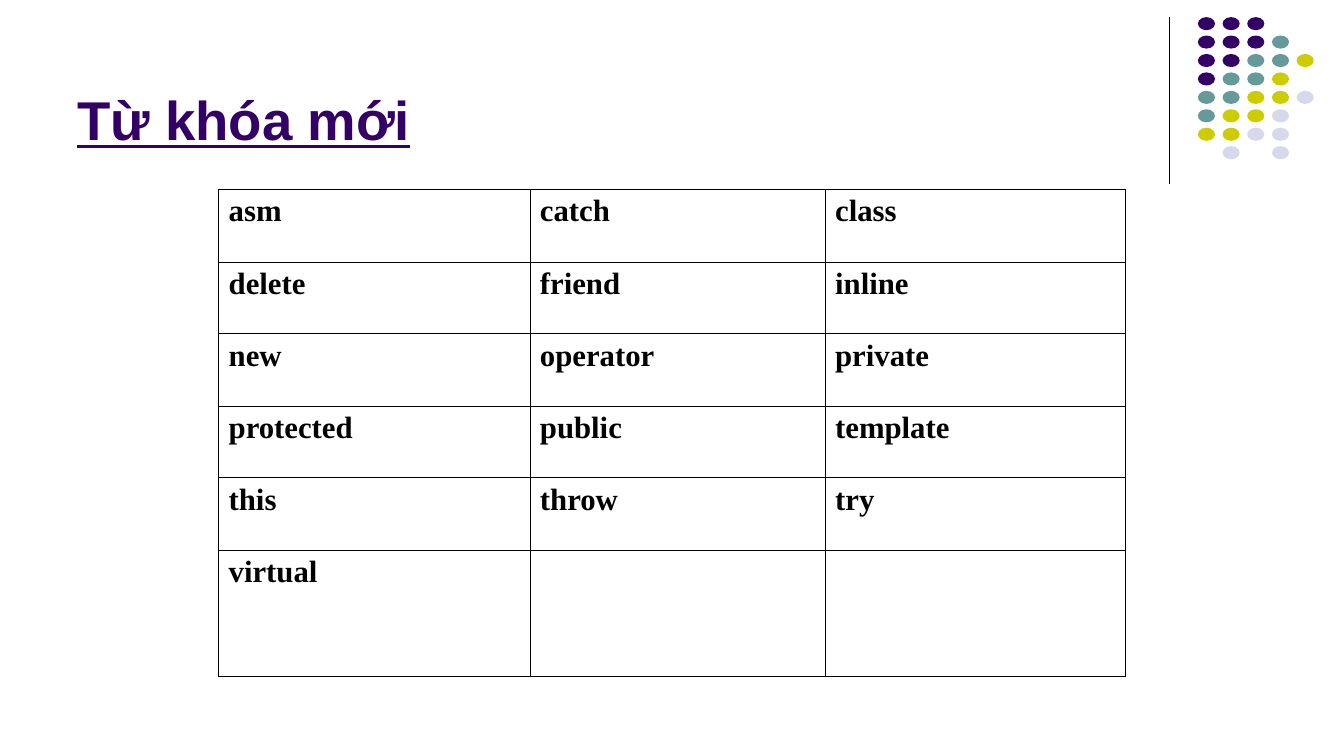
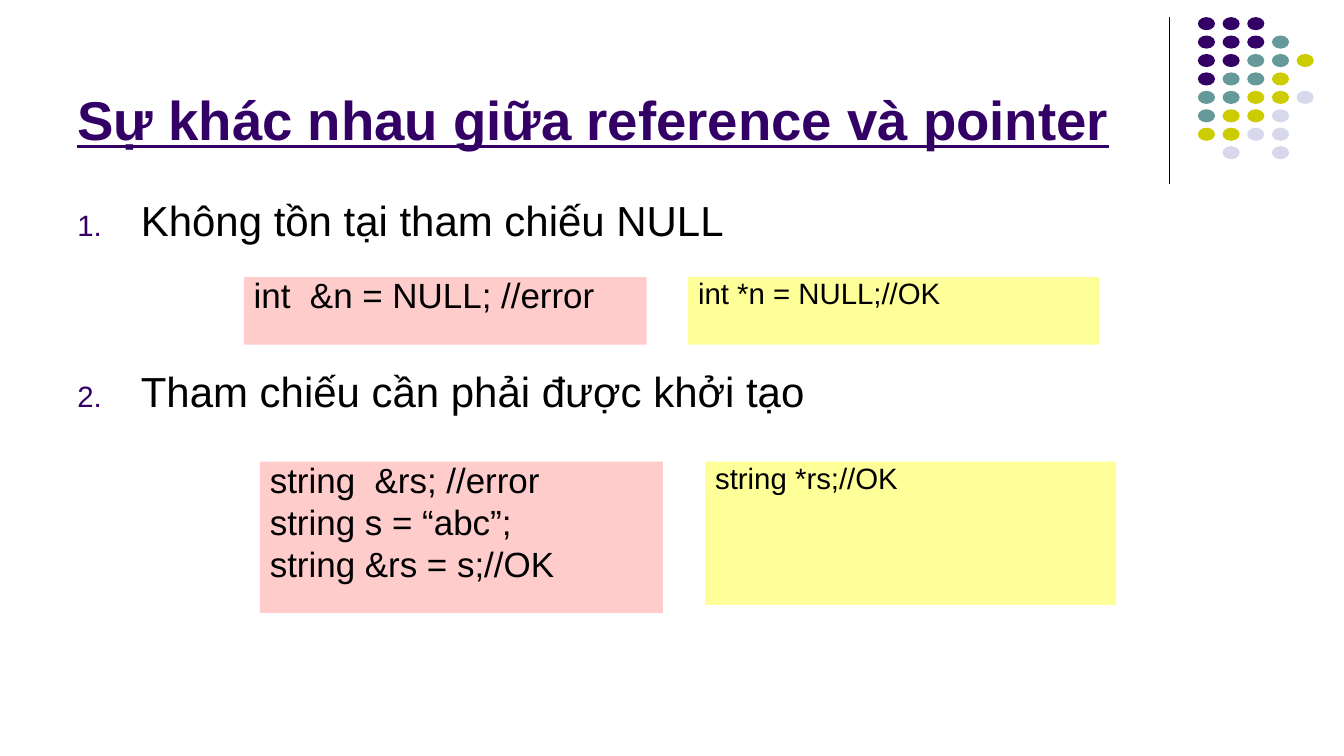
from dataclasses import dataclass

from lxml import etree
from pptx import Presentation
from pptx.dml.color import RGBColor
from pptx.enum import shapes, text
from pptx.oxml import ns
from pptx.util import Inches, Pt

PURPLE = RGBColor(0x33, 0x00, 0x66)
TEAL = RGBColor(0x66, 0x99, 0x99)
YELLOW = RGBColor(0xCC, 0xCC, 0x00)
LAVENDER = RGBColor(0xD8, 0xD8, 0xEC)
BLACK = RGBColor(0x00, 0x00, 0x00)
PINK_FILL = RGBColor(0xFF, 0xCC, 0xCC)
YELLOW_FILL = RGBColor(0xFF, 0xFF, 0x99)

DOT_COLORS = {"P": PURPLE, "T": TEAL, "Y": YELLOW, "L": LAVENDER}
DOT_ROWS = ("PPP", "PPPT", "PPTTY", "PTTY", "TTYYL", "TYYL", "YYLL", " L L")
DOT_LEFT, DOT_TOP = 11.89, 0.17
DOT_STEP_X = (12.87 - DOT_LEFT) / 4
DOT_STEP_Y = (1.45 - DOT_TOP) / 7

KEYWORDS = (
    ("asm", "catch", "class"),
    ("delete", "friend", "inline"),
    ("new", "operator", "private"),
    ("protected", "public", "template"),
    ("this", "throw", "try"),
    ("virtual", "", ""),
)
COLUMN_WIDTHS = (3.09, 2.93, 2.98)
ROW_HEIGHTS = (0.72, 0.71, 0.72, 0.71, 0.72, 1.25)


@dataclass(frozen=True)
class CodeBox:
    left: float
    top: float
    width: float
    height: float
    fill: RGBColor
    size: float
    space_before: float
    lines: tuple[str, ...]


@dataclass(frozen=True)
class Point:
    wording: str
    space_before: float


CODE_BOXES = (
    CodeBox(2.42, 2.75, 4, 0.67, PINK_FILL, 25, 6.2, ("int  &n = NULL; //error",)),
    CodeBox(6.83, 2.75, 4.08, 0.67, YELLOW_FILL, 21, 5.2, ("int *n = NULL;//OK",)),
    CodeBox(2.58, 4.58, 4, 1.5, PINK_FILL, 25, 6.2,
            ("string  &rs; //error", "string s = “abc”;", "string &rs = s;//OK")),
    CodeBox(7, 4.58, 4.08, 1.42, YELLOW_FILL, 21, 5.2, ("string *rs;//OK",)),
)
POINTS = (
    Point("Không tồn tại tham chiếu NULL", 7.5),
    Point("Tham chiếu cần phải được khởi tạo", 86),
)


def add_xml(parent, tag: str, **attributes: str):
    return etree.SubElement(parent, ns.qn(tag), attributes)


def write(para, wording: str, *, size: float, font: str = "Arial",
          color: RGBColor = BLACK, bold: bool = False, underline: bool = False,
          space_before: float = 0, line_spacing: float = 1.0) -> None:
    para.alignment = text.PP_ALIGN.LEFT
    para.space_before = Pt(space_before)
    para.line_spacing = line_spacing
    span = para.add_run()
    span.text = wording
    span.font.name = font
    span.font.size = Pt(size)
    span.font.bold = bold
    span.font.underline = underline
    span.font.color.rgb = color


def add_paragraph(frame, index: int):
    return frame.add_paragraph() if index else frame.paragraphs[0]


def add_filled_shape(page, kind, left: float, top: float, width: float,
                     height: float, fill: RGBColor):
    shape = page.shapes.add_shape(
        kind, Inches(left), Inches(top), Inches(width), Inches(height))
    shape.shadow.inherit = False
    shape.fill.solid()
    shape.fill.fore_color.rgb = fill
    shape.line.fill.background()
    return shape


def add_text_frame(page, left: float, top: float, width: float, height: float):
    box = page.shapes.add_textbox(
        Inches(left), Inches(top), Inches(width), Inches(height))
    box.text_frame.word_wrap = True
    return box.text_frame


def add_page(deck, title: str):
    """Add a slide with the shared rule, dot pattern and title."""
    page = deck.slides.add_slide(deck.slide_layouts[6])
    rule = page.shapes.add_connector(
        shapes.MSO_CONNECTOR.STRAIGHT,
        Inches(11.61), Inches(0.17), Inches(11.61), Inches(1.83))
    rule.line.color.rgb = BLACK
    rule.line.width = Pt(0.75)
    add_xml(rule._element.spPr, "a:effectLst")

    for row, marks in enumerate(DOT_ROWS):
        for column, mark in enumerate(marks):
            if mark in DOT_COLORS:
                add_filled_shape(
                    page, shapes.MSO_SHAPE.OVAL, DOT_LEFT + column * DOT_STEP_X,
                    DOT_TOP + row * DOT_STEP_Y, 0.17, 0.13, DOT_COLORS[mark])

    frame = add_text_frame(page, 0.67, 0.13, 11, 1.42)
    frame.vertical_anchor = text.MSO_ANCHOR.BOTTOM
    write(frame.paragraphs[0], title, size=39, color=PURPLE, bold=True, underline=True)
    return page


def add_borders(cell) -> None:
    properties = cell._tc.get_or_add_tcPr()
    for index, side in enumerate(("a:lnL", "a:lnR", "a:lnT", "a:lnB")):
        border = add_xml(properties, side, w=str(Pt(0.45)))
        add_xml(add_xml(border, "a:solidFill"), "a:srgbClr", val=str(BLACK))
        properties.insert(index, border)


def add_keyword_table(page) -> None:
    table = page.shapes.add_table(
        len(ROW_HEIGHTS), len(COLUMN_WIDTHS), Inches(2.17), Inches(1.88),
        Inches(sum(COLUMN_WIDTHS)), Inches(sum(ROW_HEIGHTS))).table
    table.first_row = False
    table.horz_banding = False
    for column, width in zip(table.columns, COLUMN_WIDTHS):
        column.width = Inches(width)
    for row, height, words in zip(table.rows, ROW_HEIGHTS, KEYWORDS):
        row.height = Inches(height)
        for cell, word in zip(row.cells, words):
            cell.fill.background()
            add_borders(cell)
            if word:
                write(cell.text_frame.paragraphs[0], word, size=22,
                      font="Times New Roman", bold=True)


def number(para) -> None:
    """Give the paragraph a hanging, coloured automatic number."""
    properties = para._p.get_or_add_pPr()
    properties.set("marL", str(Inches(0.63)))
    properties.set("indent", str(Inches(-0.63)))
    add_xml(add_xml(properties, "a:buClr"), "a:srgbClr", val=str(PURPLE))
    add_xml(properties, "a:buSzPct", val="70000")
    add_xml(properties, "a:buFont", typeface="Arial")
    add_xml(properties, "a:buAutoNum", type="arabicPeriod")


def add_points(page) -> None:
    frame = add_text_frame(page, 0.67, 1.88, 12, 4.82)
    for index, point in enumerate(POINTS):
        para = add_paragraph(frame, index)
        write(para, point.wording, size=30, space_before=point.space_before)
        number(para)


def add_code_box(page, code: CodeBox) -> None:
    box = add_filled_shape(page, shapes.MSO_SHAPE.RECTANGLE, code.left, code.top,
                           code.width, code.height, code.fill)
    frame = box.text_frame
    frame.word_wrap = True
    frame.vertical_anchor = text.MSO_ANCHOR.TOP
    for index, line in enumerate(code.lines):
        write(add_paragraph(frame, index), line, size=code.size,
              space_before=code.space_before, line_spacing=0.8)


def main() -> None:
    deck = Presentation()
    deck.slide_width = Inches(13.34)
    deck.slide_height = Inches(7.5)

    add_keyword_table(add_page(deck, "Từ khóa mới"))

    comparison = add_page(deck, "Sự khác nhau giữa reference và pointer")
    add_points(comparison)
    for code in CODE_BOXES:
        add_code_box(comparison, code)

    deck.save("out.pptx")


if __name__ == "__main__":
    main()
